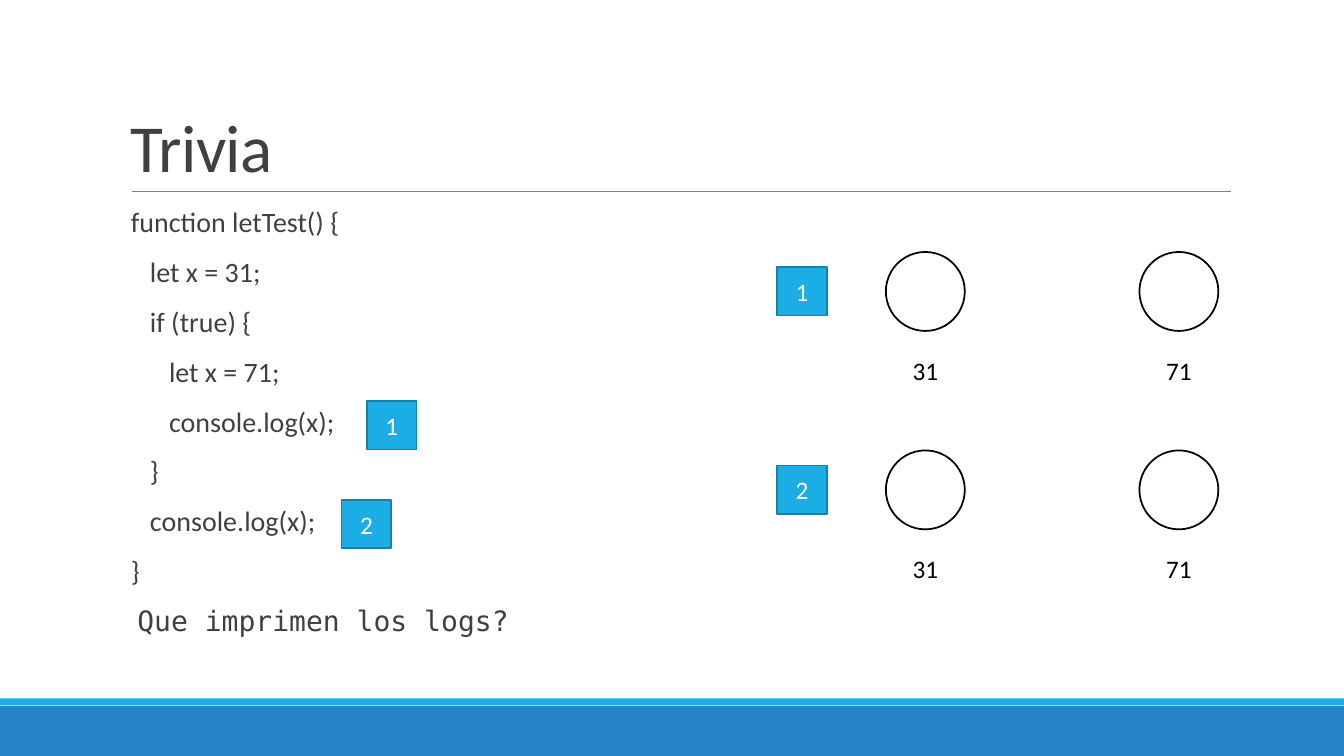
from dataclasses import dataclass

from lxml import etree
from pptx import Presentation
from pptx.dml.color import RGBColor
from pptx.enum.shapes import MSO_CONNECTOR, MSO_SHAPE
from pptx.enum.text import MSO_ANCHOR, PP_ALIGN
from pptx.oxml.ns import qn
from pptx.util import Cm, Pt

RECTANGLE = MSO_SHAPE.RECTANGLE
OVAL = MSO_SHAPE.OVAL
STRAIGHT = MSO_CONNECTOR.STRAIGHT
LEFT, CENTER = PP_ALIGN.LEFT, PP_ALIGN.CENTER
TOP, MIDDLE, BOTTOM = MSO_ANCHOR.TOP, MSO_ANCHOR.MIDDLE, MSO_ANCHOR.BOTTOM


@dataclass(frozen=True)
class Theme:
    text: str = "404040"
    label: str = "000000"
    badge_text: str = "FFFFFF"
    rule: str = "808080"
    accent: str = "1CADE4"
    accent_edge: str = "1580A9"
    footer: str = "2683C6"
    font: str = "Calibri"
    code_font: str = "DejaVu Sans Mono"
    title_size: float = 48
    body_size: float = 20
    label_size: float = 18
    outline: float = 1.25
    hairline: float = 0.5


SLIDE_WIDTH, SLIDE_HEIGHT = 33.87, 19.05
BODY_INDENT, CODE_INDENT, QUESTION_INDENT = 0.25, 0.48, 0.41
CODE_LINES = [
    (0, "function letTest() {"),
    (1, "let x = 31;"),
    (1, "if (true) {"),
    (2, "let x = 71;"),
    (2, "console.log(x);"),
    (1, "}"),
    (1, "console.log(x);"),
    (0, "}"),
]
QUESTION = "Que imprimen los logs?"
BADGE_WIDTH, BADGE_HEIGHT = 1.25, 1.22
CODE_BADGES = [("1", 9.25, 10.11), ("2", 8.61, 12.6)]
CIRCLE = 1.99
ANSWER_TOP, ANSWER_PITCH = 6.35, 5.0
ANSWER_BADGE_LEFT = 19.59
ANSWERS = [("31", 23.32, 3.76), ("71", 29.71, 5.18)]


class SlideBuilder:
    def __init__(self, slide, theme):
        self.slide = slide
        self.theme = theme

    def apply(self, target, values):
        for name, value in values.items():
            setattr(target, name, value)

    def shape(self, kind, left, top, width, height, fill=None, line=None):
        shape = self.slide.shapes.add_shape(kind, Cm(left), Cm(top), Cm(width), Cm(height))
        shape.shadow.inherit = False
        if fill:
            shape.fill.solid()
            shape.fill.fore_color.rgb = RGBColor.from_string(fill)
        else:
            shape.fill.background()
        if line:
            shape.line.color.rgb = RGBColor.from_string(line)
            shape.line.width = Pt(self.theme.outline)
        else:
            shape.line.fill.background()
        return shape

    def rule(self, left, right, top):
        connector = self.slide.shapes.add_connector(STRAIGHT, Cm(left), Cm(top), Cm(right), Cm(top))
        connector.line.color.rgb = RGBColor.from_string(self.theme.rule)
        connector.line.width = Pt(self.theme.hairline)
        etree.SubElement(connector._element.spPr, qn("a:effectLst"))

    def frame(self, left, top, width, height, **values):
        box = self.slide.shapes.add_textbox(Cm(left), Cm(top), Cm(width), Cm(height))
        self.apply(box.text_frame, {"word_wrap": True, **values})
        return box.text_frame

    def add_text(self, paragraph, text, size, color, font=None, indent=0, **values):
        self.apply(paragraph, values)
        if indent:
            paragraph._p.get_or_add_pPr().set("marL", str(Cm(indent)))
        run = paragraph.add_run()
        run.text = text
        self.apply(run.font, {"name": font or self.theme.font, "size": Pt(size)})
        run.font.color.rgb = RGBColor.from_string(color)
        return run

    def title(self, text, left, top, width, height):
        frame = self.frame(left, top, width, height, vertical_anchor=BOTTOM)
        run = self.add_text(frame.paragraphs[0], text, self.theme.title_size, self.theme.text,
                            alignment=LEFT, line_spacing=0.85)
        run._r.get_or_add_rPr().set("spc", "-50")

    def body(self, lines, left, top, width, height):
        frame = self.frame(left, top, width, height, vertical_anchor=TOP,
                           margin_left=0, margin_right=0)
        spacing = {"line_spacing": 0.9, "space_before": Pt(12), "space_after": Pt(2)}
        for index, (text, indent, font) in enumerate(lines):
            paragraph = frame.add_paragraph() if index else frame.paragraphs[0]
            self.add_text(paragraph, text, self.theme.body_size, self.theme.text,
                          font, indent, **spacing)

    def label(self, text, center, top, width):
        frame = self.frame(center - width / 2, top, width, 1.03)
        self.add_text(frame.paragraphs[0], text, self.theme.label_size, self.theme.label,
                      alignment=CENTER)

    def badge(self, text, left, top):
        shape = self.shape(RECTANGLE, left, top, BADGE_WIDTH, BADGE_HEIGHT,
                           self.theme.accent, self.theme.accent_edge)
        shape.text_frame.vertical_anchor = MIDDLE
        self.add_text(shape.text_frame.paragraphs[0], text, self.theme.label_size,
                      self.theme.badge_text, alignment=CENTER)

    def answer(self, text, center, top, label_width):
        self.shape(OVAL, center - CIRCLE / 2, top, CIRCLE, CIRCLE, line=self.theme.label)
        self.label(text, center, top + 2.47, label_width)


def main():
    presentation = Presentation()
    presentation.slide_width = Cm(SLIDE_WIDTH)
    presentation.slide_height = Cm(SLIDE_HEIGHT)
    theme = Theme()
    builder = SlideBuilder(presentation.slides.add_slide(presentation.slide_layouts[6]), theme)

    builder.shape(RECTANGLE, 0, 17.78, SLIDE_WIDTH, 1.27, theme.footer)
    builder.shape(RECTANGLE, 0, 17.6, SLIDE_WIDTH, 0.17, theme.accent)
    builder.rule(3.33, 31.01, 4.83)
    builder.title("Trivia", 3.05, 0.79, 27.94, 4.04)

    lines = [(text, BODY_INDENT + level * CODE_INDENT, theme.font) for level, text in CODE_LINES]
    lines.append((QUESTION, QUESTION_INDENT, theme.code_font))
    builder.body(lines, 3.05, 5.13, 13.89, 11.18)

    for text, left, top in CODE_BADGES:
        builder.badge(text, left, top)
    for row in range(2):
        top = ANSWER_TOP + row * ANSWER_PITCH
        builder.badge(str(row + 1), ANSWER_BADGE_LEFT, top + 0.38)
        for text, center, label_width in ANSWERS:
            builder.answer(text, center, top, label_width)

    presentation.save("out.pptx")


if __name__ == "__main__":
    main()
